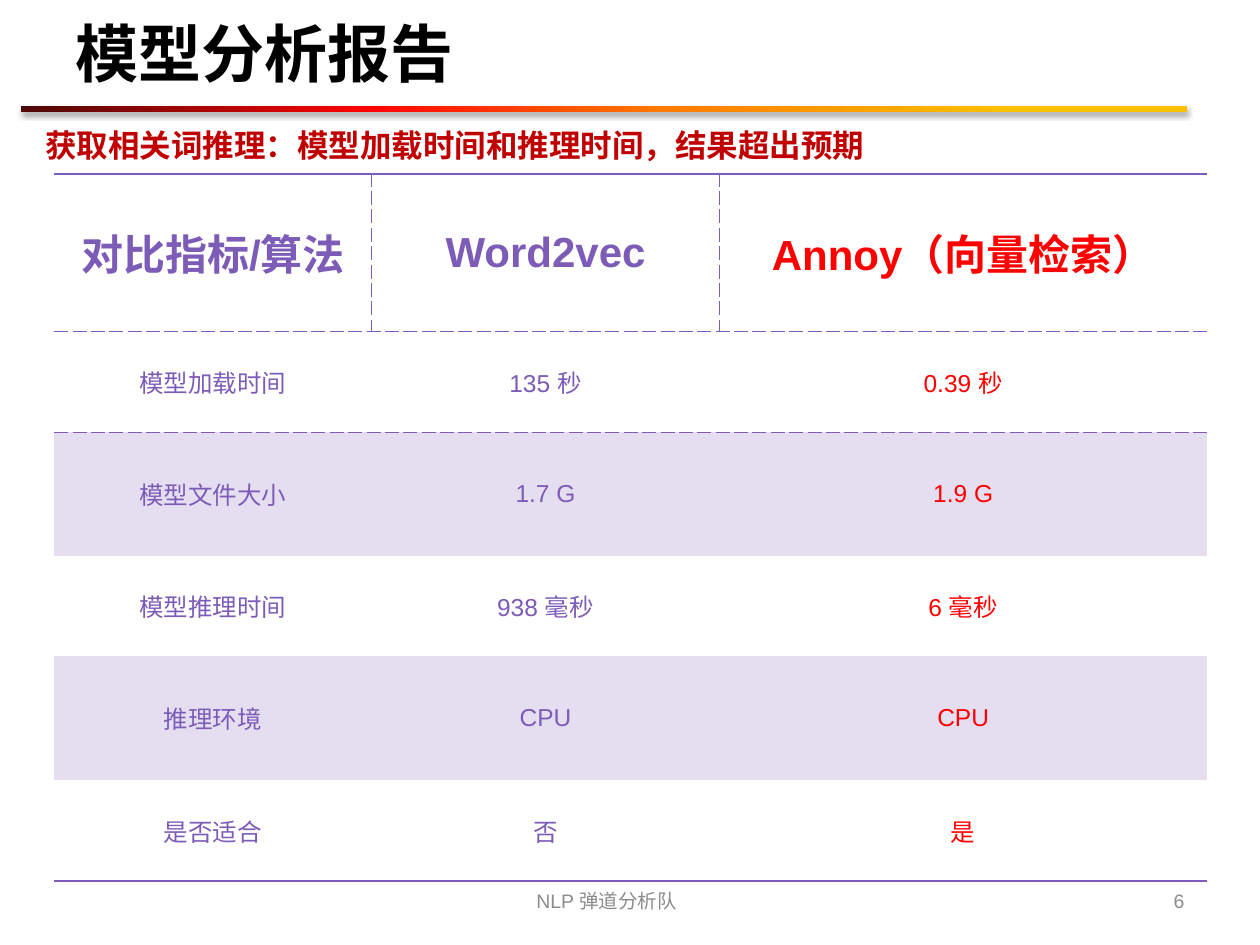
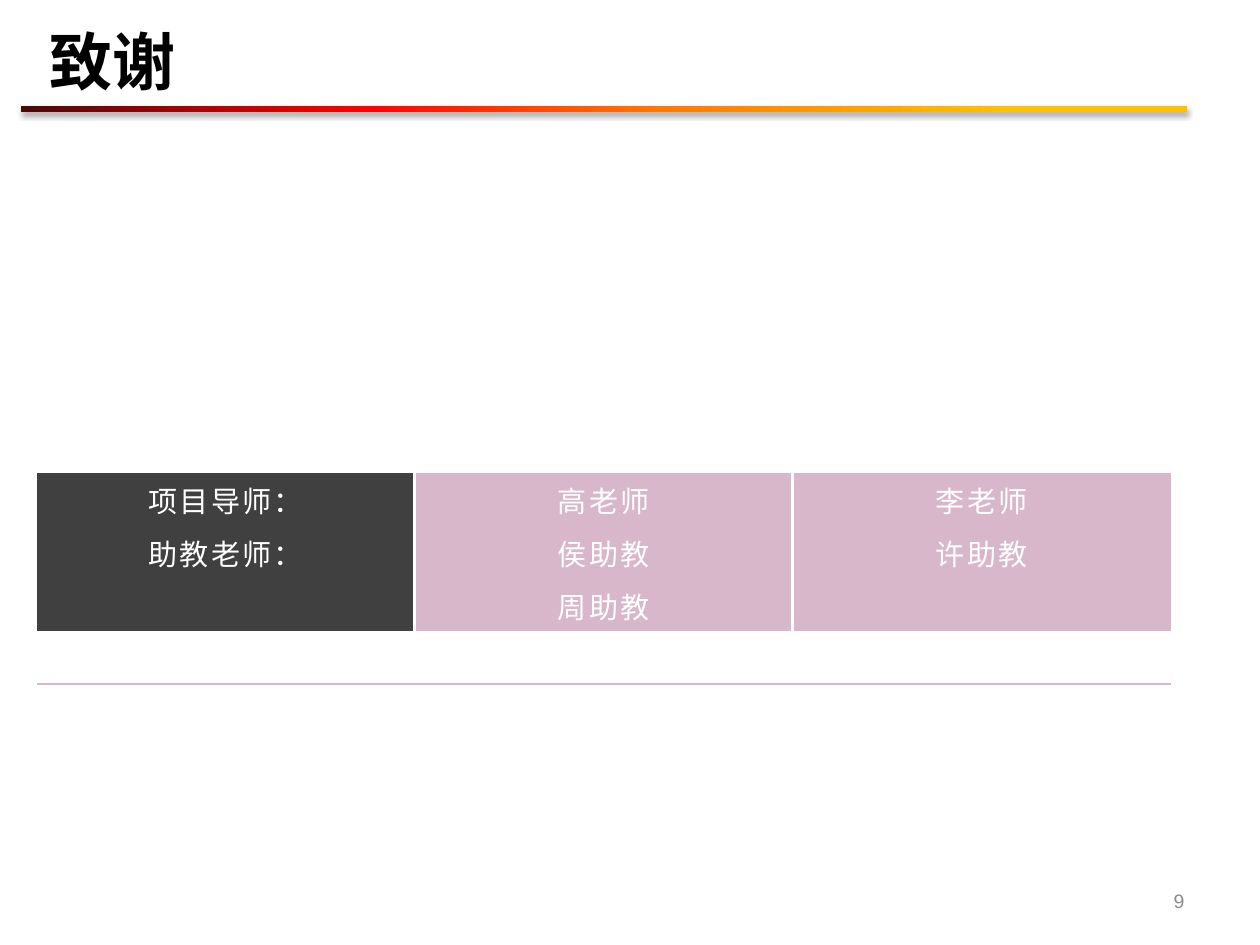
from pptx import Presentation
from pptx.dml.color import RGBColor
from pptx.enum.shapes import MSO_SHAPE
from pptx.enum.text import MSO_ANCHOR, MSO_AUTO_SIZE, PP_ALIGN
from pptx.oxml import parse_xml
from pptx.oxml.ns import nsdecls, qn
from pptx.util import Inches, Pt

FONT = "Arial"
LABEL_FONT = "DejaVu Sans"
BLACK, WHITE, GREY = "000000", "FFFFFF", "8C8C8C"
RED, DARK_RED = "FF0000", "C00000"
PURPLE, LILAC = "7D5CB8", "E5DEF1"
CHARCOAL, PINK = "404040", "D7B7C9"
BAND_STOPS = ((15, "FFC000"), (45, "FF7A00"), (70, "FF0300"), (100, "4D0808"))
PLAIN_TABLE_STYLE = "{2D5ABB26-0587-4C30-8999-92F81FD0307C}"


def color(value):
    return RGBColor.from_string(value)


class Deck:
    """Holds the shared style and the slide being built."""

    def __init__(self):
        self.presentation = Presentation()
        self.presentation.slide_width = Inches(10)
        self.presentation.slide_height = Inches(7.5)
        self.slide = None

    def add_slide(self, title, box, number):
        layout = self.presentation.slide_layouts.get_by_name("Title Only")
        self.slide = self.presentation.slides.add_slide(layout)
        self.band()
        self.title(title, box)
        self.text(str(number), (7.17, 6.95, 2.33, 0.4), 11.1, GREY, PP_ALIGN.RIGHT)

    def add_text_run(self, frame, text, size, text_color, align=PP_ALIGN.LEFT,
                     bold=False, font=FONT, spacing=0):
        paragraph = frame.paragraphs[0]
        paragraph.alignment = align
        run = paragraph.add_run()
        run.text = text
        run.font.name = font
        run.font.size = Pt(size)
        run.font.bold = bold
        run.font.color.rgb = color(text_color)
        if spacing:
            run._r.get_or_add_rPr().set("spc", str(round(spacing * 100)))

    def title(self, text, box):
        shape = self.slide.shapes.title
        shape.left, shape.top, shape.width, shape.height = map(Inches, box)
        shape.text_frame.auto_size = MSO_AUTO_SIZE.NONE
        shape.text_frame.vertical_anchor = MSO_ANCHOR.MIDDLE
        self.add_text_run(shape.text_frame, text, 36, BLACK, bold=True)

    def band(self):
        shape = self.slide.shapes.add_shape(
            MSO_SHAPE.RECTANGLE, *map(Inches, (0.17, 0.84, 9.25, 0.05)))
        shape.line.fill.background()
        shape.shadow.inherit = False
        properties = shape._element.spPr
        # Gradient and soft shadow below the band
        stops = "".join(f'<a:gs pos="{position * 1000}"><a:srgbClr val="{value}"/></a:gs>'
                        for position, value in BAND_STOPS)
        properties.find(qn("a:ln")).addprevious(parse_xml(
            f'<a:gradFill {nsdecls("a")} rotWithShape="1"><a:gsLst>{stops}</a:gsLst>'
            '<a:lin ang="10800000" scaled="0"/></a:gradFill>'))
        properties.find(qn("a:effectLst")).append(parse_xml(
            f'<a:outerShdw {nsdecls("a")} blurRad="{Pt(3.1)}" dist="{Pt(1.8)}" '
            f'dir="5400000" rotWithShape="0"><a:srgbClr val="{BLACK}">'
            '<a:alpha val="35000"/></a:srgbClr></a:outerShdw>'))

    def text(self, text, box, size, text_color, align=PP_ALIGN.LEFT, bold=False,
             anchor=MSO_ANCHOR.MIDDLE, wrap=True):
        frame = self.slide.shapes.add_textbox(*map(Inches, box)).text_frame
        frame.word_wrap = wrap
        frame.vertical_anchor = anchor
        if not wrap:
            frame.auto_size = MSO_AUTO_SIZE.SHAPE_TO_FIT_TEXT
        self.add_text_run(frame, text, size, text_color, align, bold)

    def table(self, left, top, widths, heights):
        frame = self.slide.shapes.add_table(
            len(heights), len(widths), Inches(left), Inches(top),
            Inches(sum(widths)), Inches(sum(heights)))
        table = frame.table
        table.first_row = table.horz_banding = False
        table._tbl.tblPr.find(qn("a:tableStyleId")).text = PLAIN_TABLE_STYLE
        for column, width in zip(table.columns, widths):
            column.width = Inches(width)
        for row, height in zip(table.rows, heights):
            row.height = Inches(height)
        return table

    def cell(self, cell, text, fill, size, text_color, borders,
             anchor=MSO_ANCHOR.TOP, **style):
        cell.fill.solid()
        cell.fill.fore_color.rgb = color(fill)
        cell.vertical_anchor = anchor
        if text:
            self.add_text_run(cell.text_frame, text, size, text_color,
                              PP_ALIGN.CENTER, **style)
        # Border lines come before the fill, in the order L, R, T, B
        sides = [side for side in "LRTB" if side in borders]
        for index, side in enumerate(sides):
            line_color, width, dash = borders[side]
            cell._tc.get_or_add_tcPr().insert(index, parse_xml(
                f'<a:ln{side} {nsdecls("a")} w="{Pt(width)}"><a:solidFill>'
                f'<a:srgbClr val="{line_color}"/></a:solidFill>'
                f'<a:prstDash val="{dash}"/></a:ln{side}>'))


deck = Deck()

# Slide 1: comparison of the two algorithms
deck.add_slide("模型分析报告", (0.5, 0.02, 9, 0.79), 6)
deck.text("NLP 弹道分析队", (3.05, 6.95, 3.53, 0.4), 11.1, GREY, PP_ALIGN.CENTER)
deck.text("获取相关词推理：模型加载时间和推理时间，结果超出预期", (0.26, 0.95, 6.81, 0.4),
          18, DARK_RED, bold=True, anchor=MSO_ANCHOR.TOP, wrap=False)

comparison = [
    ("对比指标/算法", "Word2vec", "Annoy（向量检索）"),
    ("模型加载时间", "135 秒", "0.39 秒"),
    ("模型文件大小", "1.7 G", "1.9 G"),
    ("模型推理时间", "938 毫秒", "6 毫秒"),
    ("推理环境", "CPU", "CPU"),
    ("是否适合", "否", "是"),
]
label_font_rows = (3, 4)
rule = (PURPLE, 1.5, "solid")
dashed = (PURPLE, 0.5, "dash")
table = deck.table(0.43, 1.38, (2.52, 2.76, 3.87), (1.25, 0.8, 0.98, 0.8, 0.98, 0.8))
last_row, last_column = len(comparison) - 1, 2
for row, values in enumerate(comparison):
    header = row == 0
    for column, value in enumerate(values):
        borders = {}
        if header:
            borders = {"T": rule, "B": dashed}
            if column > 0:
                borders["L"] = dashed
            if column < last_column:
                borders["R"] = dashed
        elif row == 1:
            borders["T"] = dashed
        elif row == last_row:
            borders["B"] = rule
        is_label = column == 0 and row in label_font_rows
        deck.cell(table.cell(row, column), value,
                  LILAC if row in (2, 4) else WHITE,
                  24 if header else 14,
                  RED if column == last_column else PURPLE,
                  borders, MSO_ANCHOR.MIDDLE, bold=header,
                  font=LABEL_FONT if is_label else FONT)

# Slide 2: thanks to mentors and assistants
deck.add_slide("致谢", (0.29, 0.08, 8.33, 0.79), 9)
thanks = [
    ("项目导师：", "高老师", "李老师"),
    ("助教老师：", "侯助教", "许助教"),
    ("", "周助教", ""),
    ("", "", ""),
]
gap = (WHITE, 1.5, "solid")
table = deck.table(0.29, 3.75, [3] * 3, [0.42] * 4)
last_row = len(thanks) - 1
for row, values in enumerate(thanks):
    for column, value in enumerate(values):
        borders = {}
        if column > 0:
            borders["L"] = gap
        if column < last_column:
            borders["R"] = gap
        if row == last_row:
            borders["B"] = (PINK, 1.5, "solid")
            fill = WHITE
        else:
            fill = CHARCOAL if column == 0 else PINK
        deck.cell(table.cell(row, column), value, fill, 16.6, WHITE, borders, spacing=1.3)

deck.presentation.save("out.pptx")
